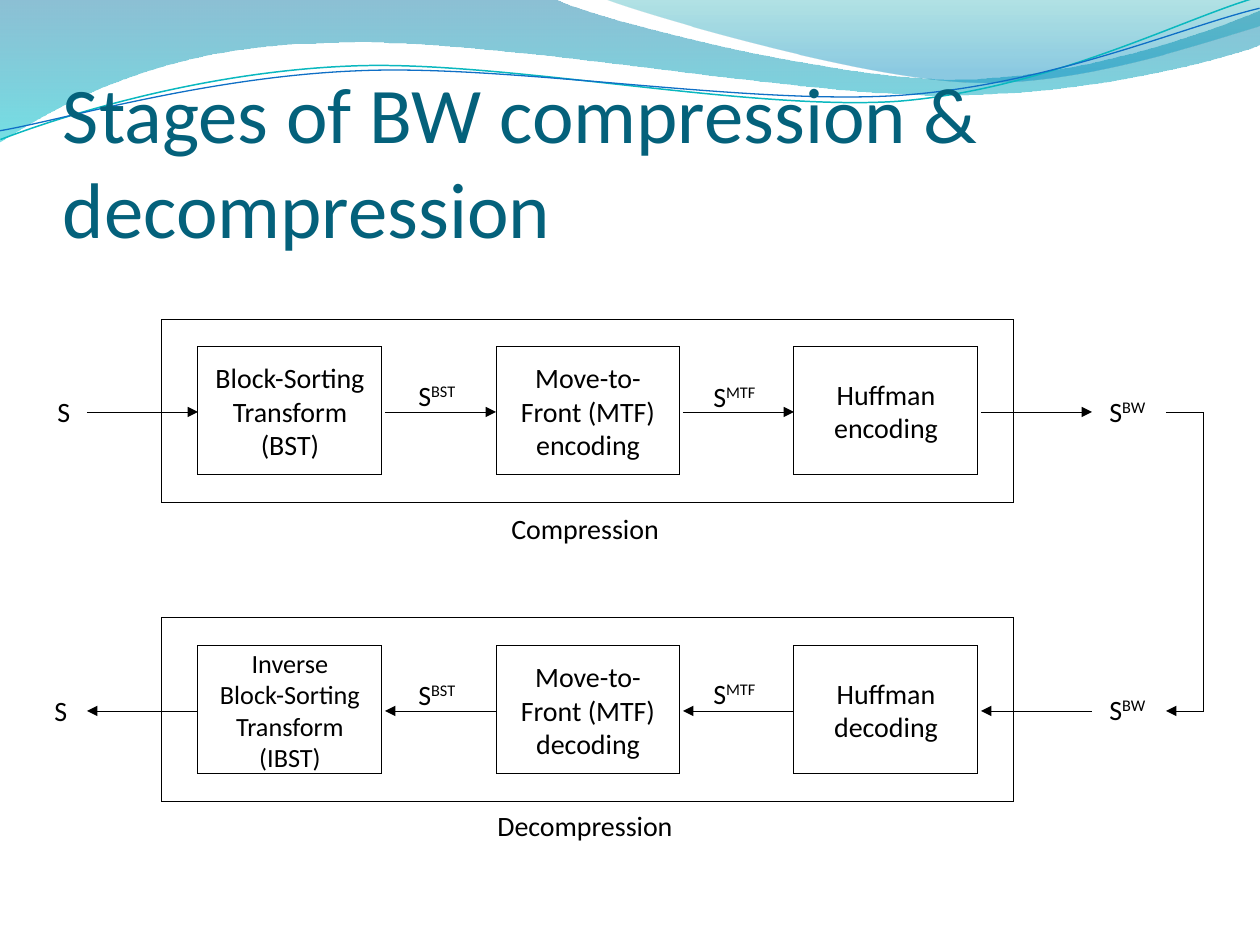
"""Build the slide on the stages of BW compression and decompression."""
from dataclasses import dataclass
from typing import Optional

from lxml.etree import SubElement
from pptx import Presentation
from pptx.dml.color import RGBColor
from pptx.enum.shapes import MSO_CONNECTOR as CONN, MSO_SHAPE as SHAPE
from pptx.enum.text import MSO_ANCHOR as ANCHOR, MSO_AUTO_SIZE as AUTO, PP_ALIGN as ALIGN
from pptx.oxml.ns import qn
from pptx.util import Emu, Pt

PX = 914400 / 126
BLACK = RGBColor(0x00, 0x00, 0x00)
TITLE = RGBColor(0x04, 0x61, 0x7B)
BLUE = RGBColor(0x0F, 0x6F, 0xC6)
TEAL = RGBColor(0x0A, 0xB8, 0xBF)
WAVE_BLUE = RGBColor(0x00, 0x74, 0xA1)
WAVE_AQUA = RGBColor(0x00, 0xC6, 0xCF)
CREST_TEAL = RGBColor(0x00, 0xA1, 0xA9)
CREST_BLUE = RGBColor(0x00, 0x8B, 0xBF)
FONT = "Calibri"
PITCH, BOX_X, BOX_W, BOX_H = 298, 198, 184, 128
ARROW_LEN = 111


@dataclass
class Stop:
    position: float
    color: RGBColor
    opacity: int


@dataclass
class Wave:
    start: tuple[int, int]
    segments: list[tuple[int, ...]]
    stops: tuple[Stop, ...] = ()
    line: Optional[RGBColor] = None
    width: float = 0
    rotation: float = 0


@dataclass
class Label:
    x: int
    y: int
    width: int
    text: str
    sup: str = ""


@dataclass
class Row:
    top: int
    steps: list[tuple[str, int]]
    reverse: bool
    labels: list[Label]


WAVES = [
    Wave((0, 0), [(554, -1), (600, 21, 837, 79, 955, 79), (1075, 79, 1207, 33, 1260, 11),
                  (1261, 45), (1235, 55, 1096, 96, 940, 95), (784, 95, 481, 35, 324, 43),
                  (163, 45, 58, 105, -1, 142), (0, 0)],
         stops=(Stop(0, WAVE_BLUE, 45), Stop(1, WAVE_AQUA, 55))),
    Wave((604, -1), [(641, 14, 859, 78, 969, 82), (1079, 87, 1211, 40, 1260, 26),
                     (1260, 0), (604, -1)],
         stops=(Stop(0, CREST_TEAL, 30), Stop(0.8, CREST_BLUE, 45))),
    Wave((-2, 110), [(58, 90, 200, 52, 350, 53), (499, 53, 745, 117, 896, 114),
                     (1048, 109, 1184, 45, 1260, 27)], line=TEAL, width=0.85, rotation=357.3),
    Wave((-2, 101), [(57, 94, 207, 57, 357, 58), (509, 58, 750, 112, 902, 108),
                     (1052, 104, 1187, 52, 1262, 38)], line=BLUE, width=0.75, rotation=357.3),
]
ROWS = [
    Row(319, [("Block-Sorting Transform (BST)", 16), ("Move-to-Front (MTF) encoding", 16),
              ("Huffman encoding", 16)], False,
        [Label(499, 505, 183, "Compression"), Label(45, 388, 40, "S"),
         Label(406, 372, 69, "S", "BST"), Label(701, 373, 76, "S", "MTF"),
         Label(1097, 388, 68, "S", "BW")]),
    Row(618, [("Inverse\vBlock-Sorting Transform (IBST)", 15),
              ("Move-to-Front (MTF) decoding", 16), ("Huffman decoding", 16)], True,
        [Label(485, 802, 212, "Decompression"), Label(42, 687, 40, "S"),
         Label(406, 671, 69, "S", "BST"), Label(701, 670, 76, "S", "MTF"),
         Label(1097, 686, 68, "S", "BW")]),
]


def px(*values: int) -> list[Emu]:
    return [Emu(round(v * PX)) for v in values]


def add_outline(shapes, start: tuple[int, int], segments: list[tuple[int, ...]], close: bool):
    builder = shapes.build_freeform(*px(*start), scale=1.0)
    points = [tuple(px(*seg[i:i + 2])) for seg in segments for i in range(0, len(seg), 2)]
    builder.add_line_segments(points, close=close)
    sp = builder.convert_to_shape()
    sp.shadow.inherit = False
    nodes = iter(list(sp._element.iter(qn("a:lnTo"))))
    for seg in segments:
        group = [next(nodes) for _ in range(len(seg) // 2)]
        if len(group) == 3:
            curve = SubElement(group[0].getparent(), qn("a:cubicBezTo"))
            group[0].addprevious(curve)
            for node in group:
                curve.append(node[0])
                node.getparent().remove(node)
    return sp


def draw_wave(shapes, wave: Wave) -> None:
    sp = add_outline(shapes, wave.start, wave.segments, bool(wave.stops))
    sp.rotation = wave.rotation
    if wave.stops:
        sp.line.fill.background()
        sp.fill.gradient()
        sp.fill.gradient_angle = 270
        for target, stop in zip(sp.fill.gradient_stops, wave.stops):
            target.position = stop.position
            target.color.rgb = stop.color
        colors = sp._element.spPr.iter(qn("a:srgbClr"))
        for color, stop in zip(colors, wave.stops):
            SubElement(color, qn("a:alpha"), val=str(stop.opacity * 1000))
    else:
        sp.fill.background()
        sp.line.color.rgb = wave.line
        sp.line.width = Pt(wave.width)


def hairline(sp, arrow: bool = False) -> None:
    sp.line.color.rgb = BLACK
    ln = sp.line._get_or_add_ln()
    ln.set("w", "0")
    if arrow:
        SubElement(ln, qn("a:tailEnd"), type="triangle")


def set_font(p, size: float, color: RGBColor = BLACK) -> None:
    p.font.name, p.font.size = FONT, Pt(size)
    p.font.color.rgb = color


def draw_rect(shapes, x: int, y: int, w: int, h: int, text: str = "", size: int = 16) -> None:
    sp = shapes.add_shape(SHAPE.RECTANGLE, *px(x, y, w, h))
    sp.shadow.inherit = False
    sp.fill.background()
    hairline(sp)
    if text:
        tf = sp.text_frame
        tf.word_wrap, tf.vertical_anchor = True, ANCHOR.MIDDLE
        p = tf.paragraphs[0]
        p.text, p.alignment = text, ALIGN.CENTER
        set_font(p, size)


def draw_arrow(shapes, x1: int, x2: int, y: int) -> None:
    s = shapes.add_connector(CONN.STRAIGHT, *px(x1, y, x2, y))
    hairline(s, arrow=True)
    SubElement(s._element.spPr, qn("a:effectLst"))


def draw_label(shapes, label: Label) -> None:
    tf = shapes.add_textbox(*px(label.x, label.y, label.width, 49)).text_frame
    tf.word_wrap, tf.auto_size = False, AUTO.SHAPE_TO_FIT_TEXT
    p = tf.paragraphs[0]
    set_font(p, 16)
    p.add_run().text = label.text
    if label.sup:
        r = p.add_run()
        r.text = label.sup
        r._r.get_or_add_rPr().set("baseline", "30000")


def draw_row(shapes, row: Row) -> None:
    for i, (text, size) in enumerate(row.steps):
        draw_rect(shapes, BOX_X + i * PITCH, row.top + 28, BOX_W, BOX_H, text, size)
    for i in range(len(row.steps) + 1):
        end = BOX_X + i * PITCH
        ends = (end - ARROW_LEN, end)
        draw_arrow(shapes, *(ends[::-1] if row.reverse else ends), row.top + 93)
    draw_rect(shapes, 161, row.top, 853, 184)
    for label in row.labels:
        draw_label(shapes, label)


def draw_title(shapes) -> None:
    tf = shapes.add_textbox(*px(63, 97, 1134, 157)).text_frame
    tf.word_wrap, tf.vertical_anchor = True, ANCHOR.BOTTOM
    tf.margin_left = tf.margin_right = tf.margin_bottom = 0
    p = tf.paragraphs[0]
    p.text = "Stages of BW compression & decompression"
    set_font(p, 45, TITLE)


prs = Presentation()
prs.slide_width, prs.slide_height = px(1260, 945)
shapes = prs.slides.add_slide(prs.slide_layouts[6]).shapes
for wave in WAVES:
    draw_wave(shapes, wave)
draw_title(shapes)
for row in ROWS:
    draw_row(shapes, row)
return_path = add_outline(shapes, (1166, 412), [(1203, 412), (1203, 711), (1166, 711)], False)
return_path.fill.background()
hairline(return_path, arrow=True)
prs.save("out.pptx")
